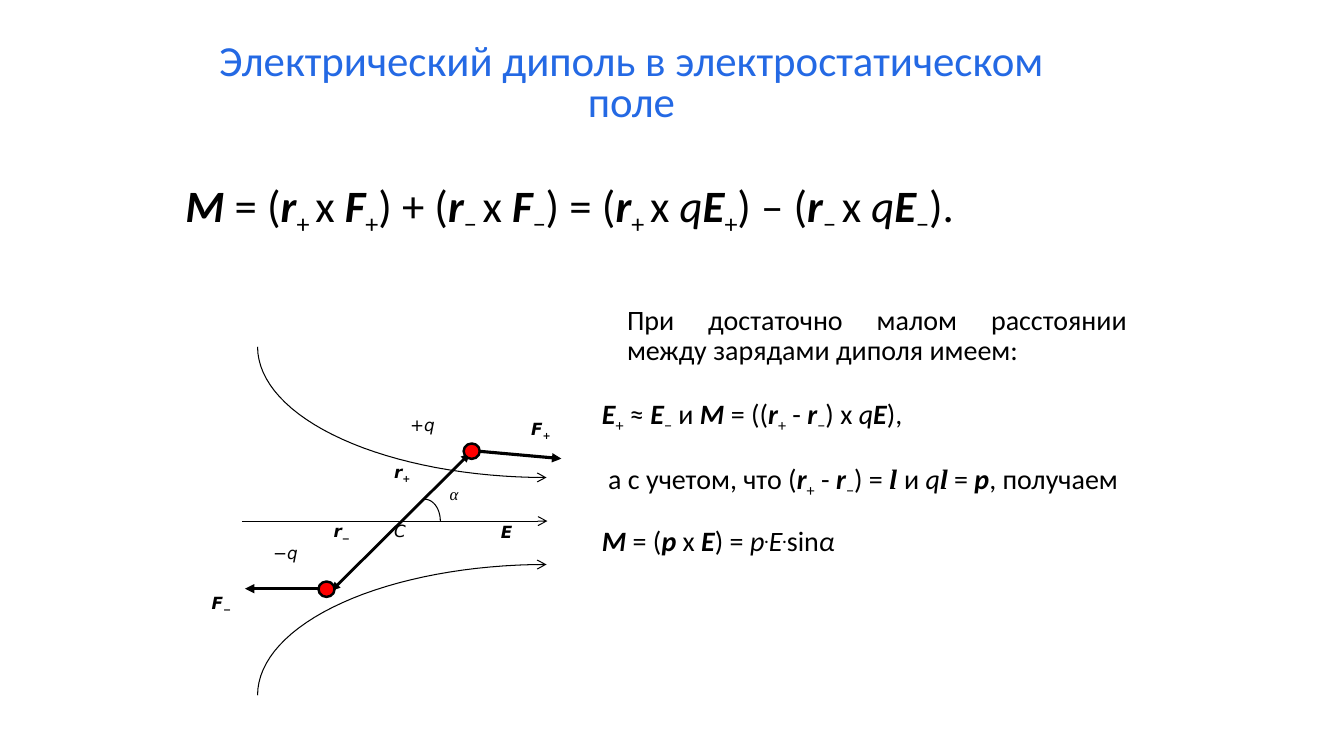
from math import cos, radians, sin

from lxml.etree import SubElement
from pptx import Presentation
from pptx.dml.color import RGBColor
from pptx.enum.shapes import MSO_CONNECTOR, MSO_SHAPE
from pptx.enum.text import MSO_ANCHOR, PP_ALIGN
from pptx.oxml.ns import qn
from pptx.util import Pt


def color(value):
    return RGBColor.from_string(value)


class DipoleSlide:
    """Holds the slide and its style, and draws each kind of element."""

    BODY, LABEL, GREEK = "Calibri", "DejaVu Sans", "Times New Roman"
    INK, TITLE, CHARGE = "000000", "2469E4", "FF0000"

    def __init__(self, deck):
        self.slide = deck.slides.add_slide(deck.slide_layouts[6])
        self.shapes = self.slide.shapes

    def frame(self, left, top, width, height, insets=(0, 0, 0, 0), anchor=MSO_ANCHOR.TOP):
        frame = self.shapes.add_textbox(Pt(left), Pt(top), Pt(width), Pt(height)).text_frame
        frame.word_wrap = True
        frame.vertical_anchor = anchor
        (frame.margin_left, frame.margin_top,
         frame.margin_right, frame.margin_bottom) = map(Pt, insets)
        return frame

    def typeset(self, paragraph, markup, size, font=BODY, ink=INK, align=PP_ALIGN.LEFT,
                spacing=1.0, bold=None, italic=None):
        """Runs are split by |; * is a vector, ~ a serif vector, / italic, _ sub, ^ super."""
        paragraph.alignment = align
        paragraph.line_spacing = spacing
        style = paragraph.font
        style.name, style.size, style.bold, style.italic = font, Pt(size), bold, italic
        style.color.rgb = color(ink)
        for part in markup.split("|"):
            mark = part[0] if part[0] in "*~/_^" else ""
            run = paragraph.add_run()
            run.text = part[len(mark):]
            if mark in ("*", "~", "^"):
                run.font.bold = True
            if mark in ("*", "~", "/"):
                run.font.italic = True
            if mark == "~":
                run.font.name = self.GREEK
            if mark in ("_", "^"):
                run.font._element.set("baseline", "-25000" if mark == "_" else "30000")

    def label(self, markup, left, top, width=32, bold=False, font=LABEL):
        paragraph = self.frame(left, top, width, 28).paragraphs[0]
        self.typeset(paragraph, markup, 12, font, bold=bold, italic=True)

    def stroke(self, shape, width, **ends):
        shape.line.color.rgb = color(self.INK)
        shape.line.width = Pt(width)
        line = shape.line._get_or_add_ln()
        for end in ("headEnd", "tailEnd"):
            if end in ends:
                SubElement(line, qn("a:" + end), type=ends[end])

    def arrow(self, start, end, width, **ends):
        connector = self.shapes.add_connector(
            MSO_CONNECTOR.STRAIGHT, *map(Pt, start), *map(Pt, end))
        self.stroke(connector, width, **ends)
        SubElement(connector._element.spPr, qn("a:effectLst"))

    def quarter(self, center, radii, start, end, **ends):
        """Draw a quarter ellipse between two angles given in degrees."""
        steps = 32
        angles = [radians(start + (end - start) * i / steps) for i in range(steps + 1)]
        points = [(Pt(center[0] + radii[0] * cos(a)), Pt(center[1] + radii[1] * sin(a)))
                  for a in angles]
        outline = self.shapes.build_freeform(*points[0])
        outline.add_line_segments(points[1:], close=False)
        curve = outline.convert_to_shape()
        curve.shadow.inherit = False
        curve.fill.background()
        self.stroke(curve, 0.75, **ends)

    def charge(self, left, top):
        ball = self.shapes.add_shape(MSO_SHAPE.OVAL, Pt(left), Pt(top), Pt(11.5), Pt(11))
        ball.shadow.inherit = False
        ball.fill.solid()
        ball.fill.fore_color.rgb = color(self.CHARGE)
        self.stroke(ball, 1.75)

    def derivation(self, steps):
        frame = self.frame(427.7, 218.5, 377.3, 306, (2.2, 0, 0, 0))
        for index, step in enumerate(steps):
            paragraph = frame.add_paragraph() if index else frame.paragraphs[0]
            properties = paragraph._p.get_or_add_pPr()
            properties.set("marL", str(Pt(18)))
            properties.set("indent", str(Pt(-18 if index else 0)))
            if index:
                paragraph.space_before = Pt(22)
            self.typeset(paragraph, step, 20, align=PP_ALIGN.JUSTIFY, spacing=0.9)


def main():
    deck = Presentation()
    deck.slide_width, deck.slide_height = Pt(960), Pt(540)
    page = DipoleSlide(deck)

    page.derivation([
        "При достаточно малом расстоянии между зарядами диполя имеем:",
        "*Е|_+| ≈ |*Е|_−| и |*М| = ((|*r|_+| - |*r|_−|) x |/q|*E|),",
        " а с учетом, что (|*r|_+| - |*r|_−|) = |~l |и |/q|~l| = |*p|, получаем",
        "*М| = (|*р| х |*Е|) = |/р|^.|/Е|^.|sin|/α",
    ])

    for center_y, start in ((247.7, 90), (496.6, 270)):
        page.quarter((390.4, center_y), (206.4, 93.4), start, 180, headEnd="arrow")
    page.arrow((172.8, 372.2), (391, 372.2), 0.75, tailEnd="arrow")
    page.quarter((303.3, 372), (11.2, 15.4), 270, 360)

    page.arrow((336.2, 321.8), (401, 327.6), 2.25, tailEnd="triangle")
    page.arrow((230.4, 420.5), (175, 420.5), 2.25, tailEnd="triangle")
    page.arrow((236.9, 421.9), (335.5, 324), 2, headEnd="triangle", tailEnd="triangle")
    page.charge(331.2, 316.8)
    page.charge(227.5, 415.4)

    for vector, left, top in (("Е", 357.8, 373), ("F|_+", 379.4, 298.8), ("F|_−", 151.2, 423.4),
                              ("r|_−", 238.3, 372.2), ("r|_+", 281.5, 329.8)):
        page.label(vector, left, top, bold=True)
    for scalar, left, top in (("C", 281.5, 372.2), ("+q", 293, 295.9), ("−q", 195.1, 387.4)):
        page.label(scalar, left, top)
    page.label("α", 321.1, 345.6, font=page.GREEK)

    title = page.frame(120.2, 29.5, 661.7, 61.9, (7.2, 3.6, 7.2, 3.6), MSO_ANCHOR.MIDDLE)
    page.typeset(title.paragraphs[0], "Электрический диполь в электростатическом поле", 30.6,
                 ink=page.TITLE, align=PP_ALIGN.CENTER, spacing=0.8)
    torque = page.frame(125.3, 123.1, 709.9, 46.1, (7.2, 3.6, 7.2, 3.6))
    page.typeset(torque.paragraphs[0],
                 "*M| = (|*r|_+ |x |*F|_+|) + (|*r|_− |x |*F|_−|) = "
                 "(|*r|_+ |x |/q|*E|_+|) – (|*r|_− |x |/q|*E|_−|).",
                 32, align=PP_ALIGN.JUSTIFY)
    deck.save("out.pptx")


if __name__ == "__main__":
    main()
